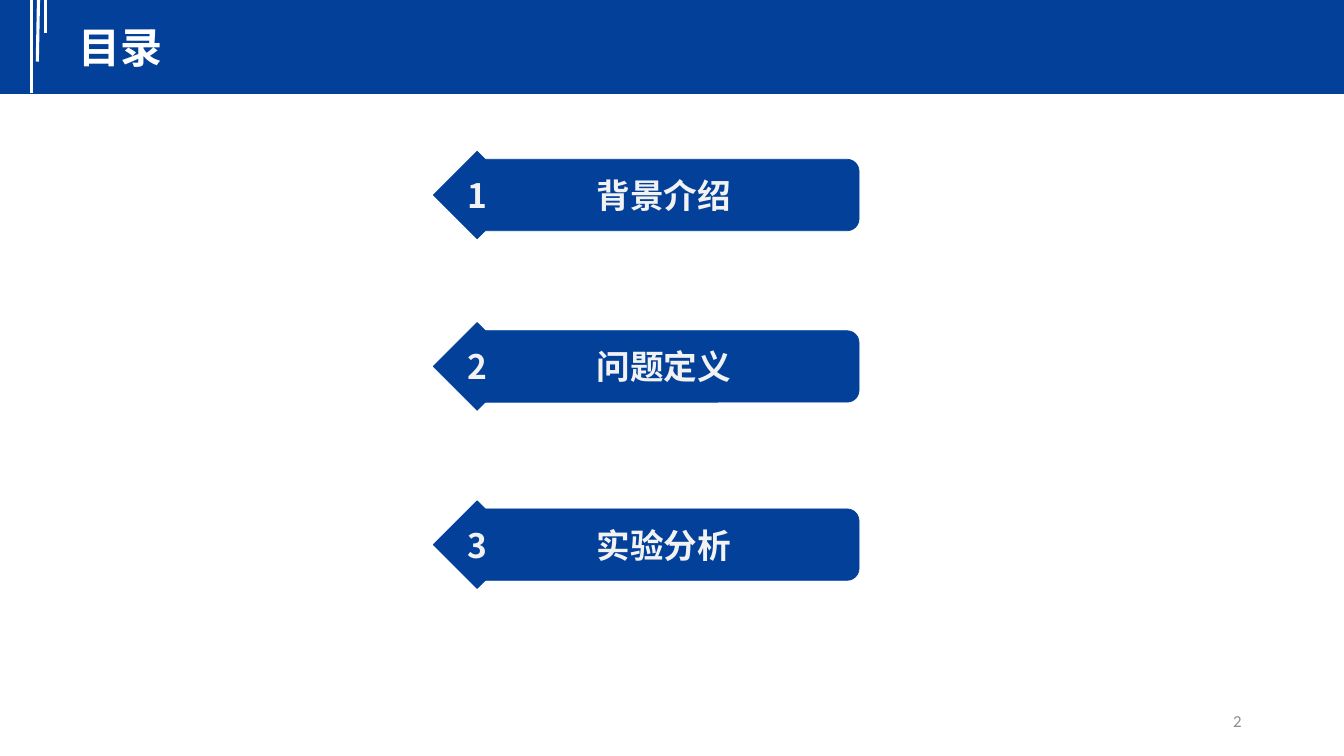
from dataclasses import dataclass

from pptx import Presentation
from pptx.dml.color import RGBColor
from pptx.enum import shapes, text
from pptx.oxml import ns
from pptx.util import Cm, Pt
from lxml import etree


@dataclass(frozen=True)
class Theme:
    blue: RGBColor = RGBColor(0x02, 0x40, 0x9A)
    white: RGBColor = RGBColor(0xFF, 0xFF, 0xFF)
    pale: RGBColor = RGBColor(0xF2, 0xF2, 0xF2)
    grey: RGBColor = RGBColor(0x8C, 0x8C, 0x8C)
    latin: str = "Calibri"
    chinese: str = "Noto Sans CJK SC"
    title: Pt = Pt(30)
    entry: Pt = Pt(24)
    number: Pt = Pt(12)
    stripe: Pt = Pt(2.25)
    outline: Pt = Pt(0.5)


THEME = Theme()
PAGE_WIDTH, PAGE_HEIGHT = 33.87, 19.05
STRIPES = [(0.79, 0.79, 2.34), (0.97, 0.94, 1.55), (1.14, 1.14, 0.84)]
ENTRIES = [("背景介绍", 3.81), ("问题定义", 8.13), ("实验分析", 12.62)]
DIAMOND_LEFT, DIAMOND_SIZE = 10.92, 2.21
BAR_LEFT, BAR_WIDTH, BAR_HEIGHT = 11.82, 9.83, 1.8


def write(shape, words, size, color, font, align, bold=True):
    para = shape.text_frame.paragraphs[0]
    para.alignment = align
    span = para.add_run()
    span.text = words
    span.font.size, span.font.bold, span.font.name = size, bold, font
    span.font.color.rgb = color
    # python-pptx sets only the Latin face; Chinese glyphs use a:ea
    east_asian = etree.SubElement(span.font._element, ns.qn("a:ea"))
    east_asian.set("typeface", THEME.chinese)


def add_block(parent, kind, left, top, width, height):
    block = parent.shapes.add_shape(kind, Cm(left), Cm(top), Cm(width), Cm(height))
    block.shadow.inherit = False
    block.fill.solid()
    block.fill.fore_color.rgb = THEME.blue
    block.line.fill.background()
    return block


def add_stripe(page, start, end, length):
    stripe = page.shapes.add_connector(
        shapes.MSO_CONNECTOR.STRAIGHT, Cm(start), 0, Cm(end), Cm(length))
    stripe.line.color.rgb = THEME.white
    stripe.line.width = THEME.stripe
    etree.SubElement(stripe._element.spPr, ns.qn("a:effectLst"))


def add_text(page, left, top, width, height, anchor):
    box = page.shapes.add_textbox(Cm(left), Cm(top), Cm(width), Cm(height))
    box.text_frame.word_wrap = True
    box.text_frame.vertical_anchor = anchor
    return box


def add_entry(page, number, label, top):
    """Group a labelled bar with the numbered diamond at its left end."""
    group = page.shapes.add_group_shape()
    bar = add_block(group, shapes.MSO_SHAPE.ROUNDED_RECTANGLE, BAR_LEFT,
                    top + (DIAMOND_SIZE - BAR_HEIGHT) / 2, BAR_WIDTH, BAR_HEIGHT)
    diamond = add_block(group, shapes.MSO_SHAPE.DIAMOND, DIAMOND_LEFT, top,
                        DIAMOND_SIZE, DIAMOND_SIZE)
    for block, words, font in ((bar, label, THEME.latin),
                               (diamond, str(number), THEME.chinese)):
        block.line.color.rgb = THEME.blue
        block.line.width = THEME.outline
        block.text_frame.word_wrap = False
        block.text_frame.vertical_anchor = text.MSO_ANCHOR.MIDDLE
        write(block, words, THEME.entry, THEME.pale, font, text.PP_ALIGN.CENTER)


def main():
    deck = Presentation()
    deck.slide_width, deck.slide_height = Cm(PAGE_WIDTH), Cm(PAGE_HEIGHT)
    page = deck.slides.add_slide(deck.slide_layouts[6])

    add_block(page, shapes.MSO_SHAPE.RECTANGLE, 0, -0.02, PAGE_WIDTH, 2.39)
    for stripe in STRIPES:
        add_stripe(page, *stripe)
    title = add_text(page, 1.73, 0.41, 5.41, 1.55, text.MSO_ANCHOR.TOP)
    write(title, "目录", THEME.title, THEME.white, THEME.chinese,
          text.PP_ALIGN.LEFT)

    for number, (label, top) in enumerate(ENTRIES, start=1):
        add_entry(page, number, label, top)

    page_number = add_text(page, 23.92, 17.65, 7.62, 1.02, text.MSO_ANCHOR.MIDDLE)
    write(page_number, "2", THEME.number, THEME.grey, THEME.latin,
          text.PP_ALIGN.RIGHT, bold=False)
    deck.save("out.pptx")


if __name__ == "__main__":
    main()
